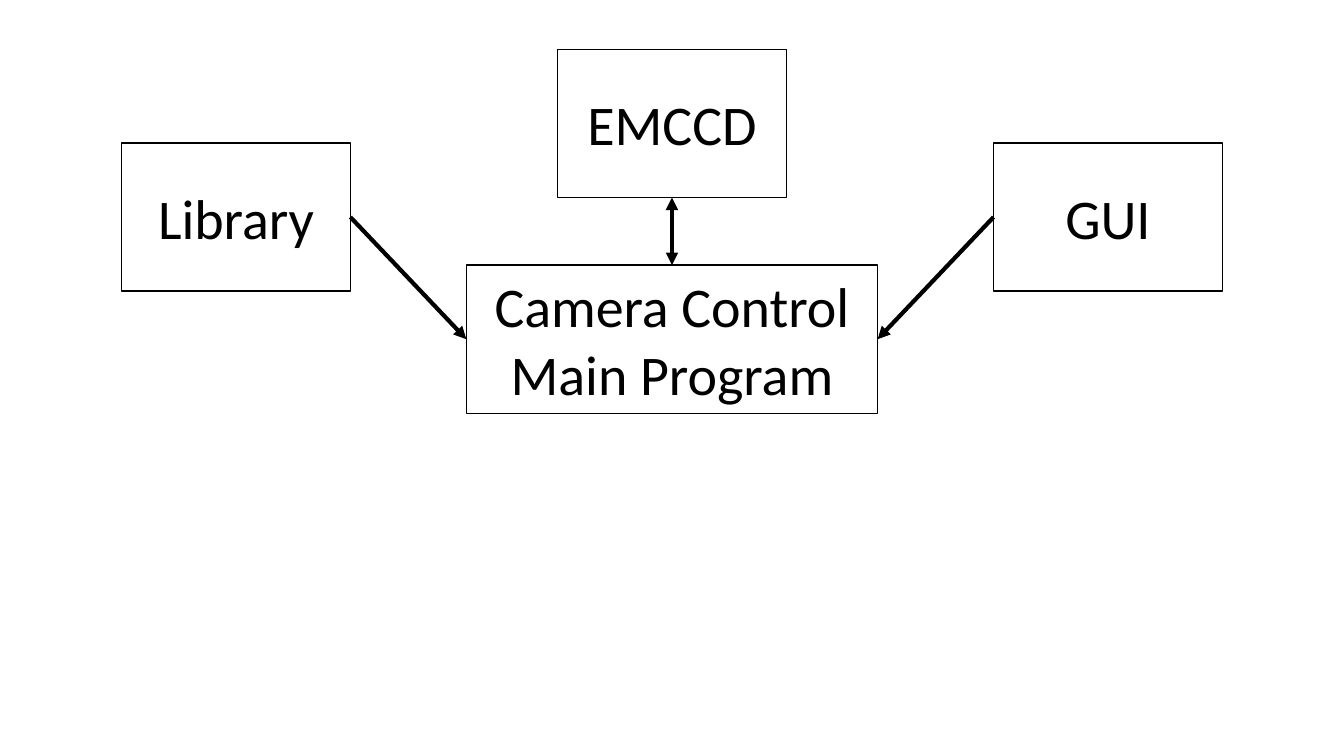
from pptx import Presentation
from pptx import util as u
from pptx.dml.color import RGBColor
from pptx.enum import shapes, text
from pptx.oxml import ns
from lxml import etree

BLACK = RGBColor(0x00, 0x00, 0x00)
TOP, LEFT, BOTTOM, RIGHT = range(4)


class Diagram:
    """Draws outlined boxes and the arrows between them on one slide."""

    font_name = "Calibri"
    font_size = u.Pt(40)
    box_height = 105.8
    box_line = u.Pt(1)
    arrow_line = u.Pt(3)

    def __init__(self, slide):
        self.slide = slide

    def box(self, label, center, top, width=163.4):
        box = self.slide.shapes.add_shape(
            shapes.MSO_SHAPE.RECTANGLE,
            u.Pt(center - width / 2), u.Pt(top), u.Pt(width), u.Pt(self.box_height))
        box.shadow.inherit = False
        box.fill.background()
        box.line.color.rgb = BLACK
        box.line.width = self.box_line
        frame = box.text_frame
        frame.word_wrap = True
        frame.vertical_anchor = text.MSO_ANCHOR.MIDDLE
        paragraph = frame.paragraphs[0]
        paragraph.text = label
        paragraph.alignment = text.PP_ALIGN.CENTER
        paragraph.font.name = self.font_name
        paragraph.font.size = self.font_size
        paragraph.font.color.rgb = BLACK
        return box

    def arrow(self, source, source_side, target, target_side, ends=("tailEnd",)):
        arrow = self.slide.shapes.add_connector(shapes.MSO_CONNECTOR.STRAIGHT, 0, 0, 0, 0)
        arrow.begin_connect(source, source_side)
        arrow.end_connect(target, target_side)
        arrow.line.color.rgb = BLACK
        arrow.line.width = self.arrow_line
        line = arrow.line._get_or_add_ln()
        for end in ends:
            etree.SubElement(line, ns.qn(f"a:{end}"), type="triangle")
        etree.SubElement(arrow._element.spPr, ns.qn("a:effectLst"))


def main():
    deck = Presentation()
    deck.slide_width, deck.slide_height = u.Pt(960), u.Pt(540)
    diagram = Diagram(deck.slides.add_slide(deck.slide_layouts[6]))

    middle, side_offset, side_top = 480, 311.4, 102.2
    library = diagram.box("Library", middle - side_offset, side_top)
    emccd = diagram.box("EMCCD", middle, 35.3)
    program = diagram.box("Camera Control Main Program", middle, 189.4, width=293.8)
    gui = diagram.box("GUI", middle + side_offset, side_top)

    diagram.arrow(emccd, BOTTOM, program, TOP, ends=("headEnd", "tailEnd"))
    diagram.arrow(library, RIGHT, program, LEFT)
    diagram.arrow(gui, LEFT, program, RIGHT)

    deck.save("out.pptx")


if __name__ == "__main__":
    main()
